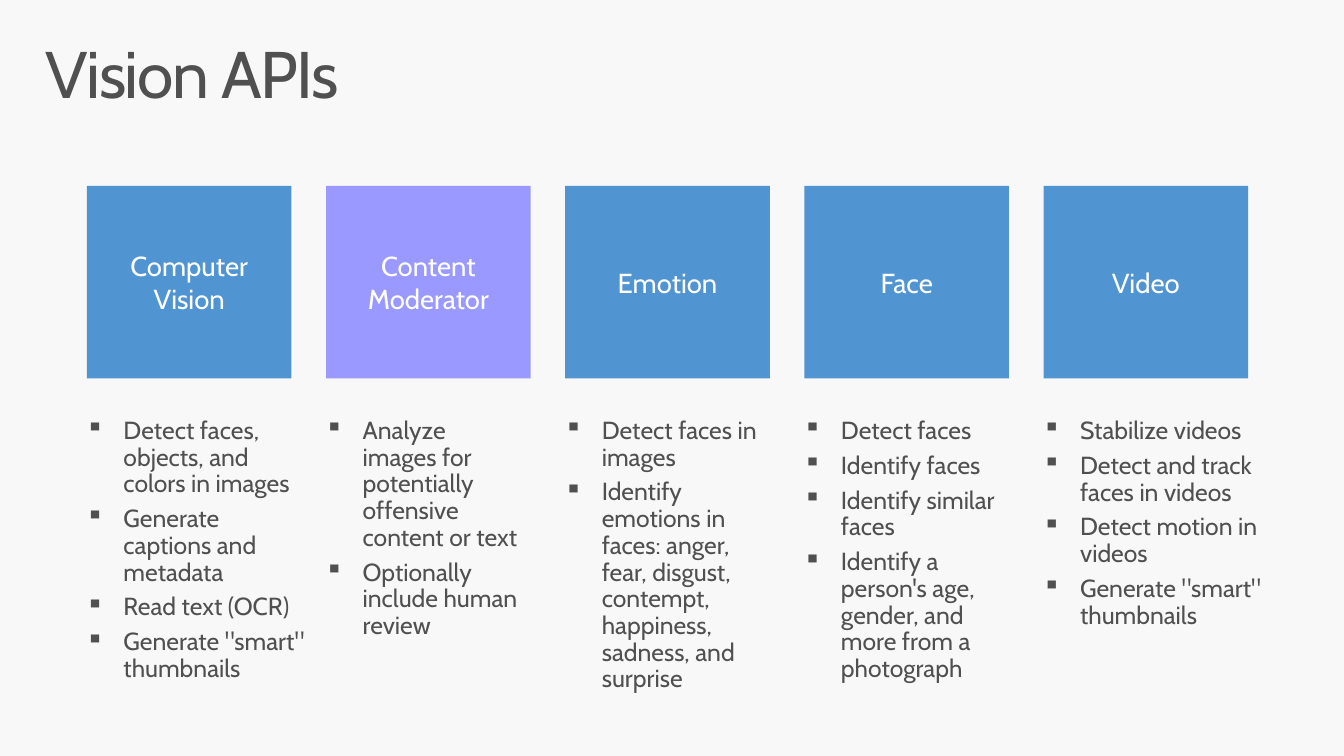
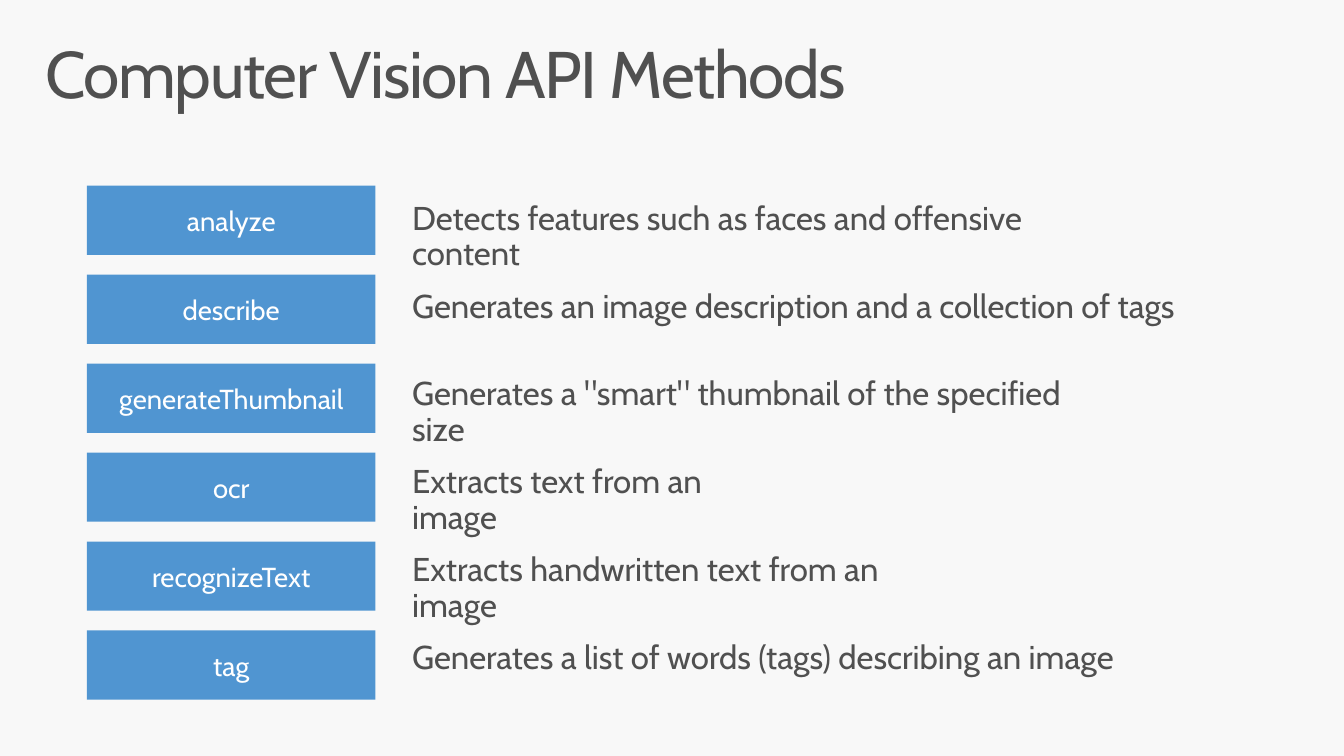
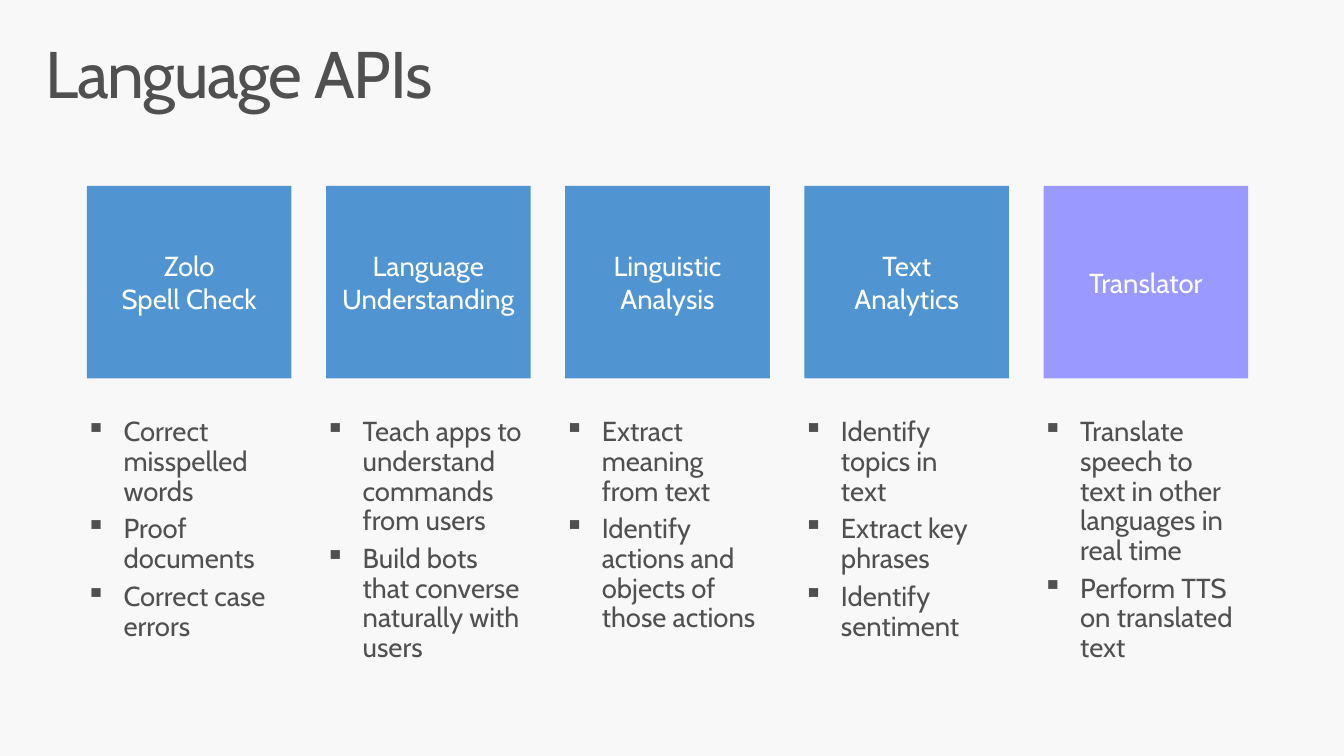
from dataclasses import dataclass
from typing import NamedTuple

from lxml.etree import SubElement
from pptx import Presentation
from pptx.dml.color import RGBColor
from pptx.enum.shapes import MSO_SHAPE
from pptx.enum.text import MSO_ANCHOR, MSO_AUTO_SIZE, PP_ALIGN
from pptx.oxml.ns import qn
from pptx.util import Inches, Pt


@dataclass(frozen=True)
class Theme:
    font: str = "Cabin"
    background: str = "F8F8F8"
    text: str = "505050"
    on_fill: str = "FFFFFF"
    blue: str = "5095D1"
    violet: str = "9999FF"
    title_size: int = 48
    method_size: int = 24
    card_size: int = 20
    bullet_size: int = 20
    small_bullet_size: int = 18
    title_insets: tuple = (0.16, 0.1)
    body_insets: tuple = (0.2, 0.16)
    card_insets: tuple = (0.1, 0.05)
    bullet_indent: float = 0.38


@dataclass(frozen=True)
class Grid:
    """Cells of one size at an equal pitch; lengths in inches."""
    left: float
    top: float
    column_pitch: float = 0
    row_pitch: float = 0

    def cell(self, column, row, width, height):
        return (self.left + column * self.column_pitch,
                self.top + row * self.row_pitch, width, height)


class Api(NamedTuple):
    name: str
    width: float
    height: float
    bullets: list
    highlighted: bool = False


THEME = Theme()
CARDS = Grid(0.88, 1.88, column_pitch=2.42)
BULLETS = Grid(0.67, 4.07, column_pitch=2.42)
METHOD_NAMES = Grid(0.88, 1.88, row_pitch=0.9)
METHOD_TEXTS = Grid(3.97, 1.88, row_pitch=0.89)

VISION_APIS = [
    Api("Computer Vision", 2.63, 3.03, [
        "Detect faces, objects, and colors in images",
        "Generate captions and metadata",
        "Read text (OCR)",
        'Generate "smart" thumbnails']),
    Api("Content\nModerator", 2.42, 2.32, [
        "Analyze images for potentially offensive content or text",
        "Optionally include human review"], highlighted=True),
    Api("Emotion", 2.42, 3.13, [
        "Detect faces in images",
        "Identify emotions in faces: anger, fear, disgust, contempt, "
        "happiness, sadness, and surprise"]),
    Api("Face", 2.42, 3.03, [
        "Detect faces",
        "Identify faces",
        "Identify similar faces",
        "Identify a person's age, gender, and more from a photograph"]),
    Api("Video", 2.71, 2.48, [
        "Stabilize videos",
        "Detect and track faces in videos",
        "Detect motion in videos",
        'Generate "smart" thumbnails']),
]

LANGUAGE_APIS = [
    Api("Zolo\nSpell Check", 2.28, 2.61, [
        "Correct misspelled words",
        "Proof documents",
        "Correct case errors"]),
    Api("Language\nUnderstanding", 2.42, 2.83, [
        "Teach apps to understand commands from users",
        "Build bots that converse naturally with users"]),
    Api("Linguistic\nAnalysis", 2.42, 2.53, [
        "Extract meaning from text",
        "Identify actions and objects of those actions"]),
    Api("Text\nAnalytics", 2.28, 2.31, [
        "Identify topics in text",
        "Extract key phrases",
        "Identify sentiment"]),
    Api("Translator", 2.38, 2.83, [
        "Translate speech to text in other languages in real time",
        "Perform TTS on translated text"], highlighted=True),
]

# name, description, width of the description
METHODS = [
    ("analyze", "Detects features such as faces and offensive content", 7.7),
    ("describe", "Generates an image description and a collection of tags", 8.23),
    ("generateThumbnail", 'Generates a "smart" thumbnail of the specified size', 7.5),
    ("ocr", "Extracts text from an image", 4.2),
    ("recognizeText", "Extracts handwritten text from an image", 5.95),
    ("tag", "Generates a list of words (tags) describing an image", 7.66),
]


def write_text(frame, lines, *, size, color, insets, align=PP_ALIGN.LEFT,
               anchor=MSO_ANCHOR.TOP, line_spacing=None, space_after=None,
               bullet=None, tracking=None, grow=False):
    """Fill a text frame with one paragraph per line, all in one format."""
    frame.word_wrap = True
    frame.auto_size = MSO_AUTO_SIZE.SHAPE_TO_FIT_TEXT if grow else MSO_AUTO_SIZE.NONE
    frame.vertical_anchor = anchor
    frame.margin_left = frame.margin_right = Inches(insets[0])
    frame.margin_top = frame.margin_bottom = Inches(insets[1])
    for index, line in enumerate(lines):
        paragraph = frame.add_paragraph() if index else frame.paragraphs[0]
        paragraph.alignment = align
        paragraph.line_spacing = line_spacing
        if space_after is not None:
            paragraph.space_after = Pt(space_after)
        if bullet:
            properties = paragraph._p.get_or_add_pPr()
            indent = Inches(THEME.bullet_indent)
            properties.set("marL", str(indent))
            properties.set("indent", str(-indent))
            SubElement(properties, qn("a:buChar")).set("char", bullet)
        run = paragraph.add_run()
        run.text = line
        run.font.name = THEME.font
        run.font.size = Pt(size)
        run.font.color.rgb = RGBColor.from_string(color)
        if tracking is not None:
            run._r.get_or_add_rPr().set("spc", str(tracking * 100))


class Deck:
    def __init__(self):
        self.presentation = Presentation()
        self.presentation.slide_width = Inches(13.6)
        self.presentation.slide_height = Inches(7.65)
        fill = self.presentation.slide_master.background.fill
        fill.solid()
        fill.fore_color.rgb = RGBColor.from_string(THEME.background)
        self.slide = None

    def add_slide(self, title):
        layout = self.presentation.slide_layouts[6]
        self.slide = self.presentation.slides.add_slide(layout)
        self.text_box((0.3, 0.32, 13, 1), [title], size=THEME.title_size,
                      insets=THEME.title_insets, tracking=-1)

    def text_box(self, box, lines, **text_format):
        shape = self.slide.shapes.add_textbox(*map(Inches, box))
        write_text(shape.text_frame, lines, color=THEME.text,
                   line_spacing=0.9, **text_format)

    def body(self, box, lines, **text_format):
        self.text_box(box, lines, insets=THEME.body_insets, space_after=6,
                      grow=True, **text_format)

    def card(self, box, label, color=THEME.blue):
        shape = self.slide.shapes.add_shape(MSO_SHAPE.RECTANGLE, *map(Inches, box))
        shape.shadow.inherit = False
        shape.fill.solid()
        shape.fill.fore_color.rgb = RGBColor.from_string(color)
        shape.line.fill.background()
        write_text(shape.text_frame, label.split("\n"), size=THEME.card_size,
                   color=THEME.on_fill, insets=THEME.card_insets,
                   align=PP_ALIGN.CENTER, anchor=MSO_ANCHOR.MIDDLE)

    def api_slide(self, title, apis, bullet_size):
        self.add_slide(title)
        for column, api in enumerate(apis):
            self.card(CARDS.cell(column, 0, 2.07, 1.95), api.name,
                      THEME.violet if api.highlighted else THEME.blue)
            self.body(BULLETS.cell(column, 0, api.width, api.height),
                      api.bullets, size=bullet_size, bullet="▪")

    def method_slide(self, title, methods):
        self.add_slide(title)
        for row, (name, description, width) in enumerate(methods):
            self.card(METHOD_NAMES.cell(0, row, 2.92, 0.7), name)
            self.body(METHOD_TEXTS.cell(0, row, width, 0.69), [description],
                      size=THEME.method_size)


def main():
    deck = Deck()
    deck.api_slide("Vision APIs", VISION_APIS, THEME.small_bullet_size)
    deck.method_slide("Computer Vision API Methods", METHODS)
    deck.api_slide("Language APIs", LANGUAGE_APIS, THEME.bullet_size)
    deck.presentation.save("out.pptx")


if __name__ == "__main__":
    main()
